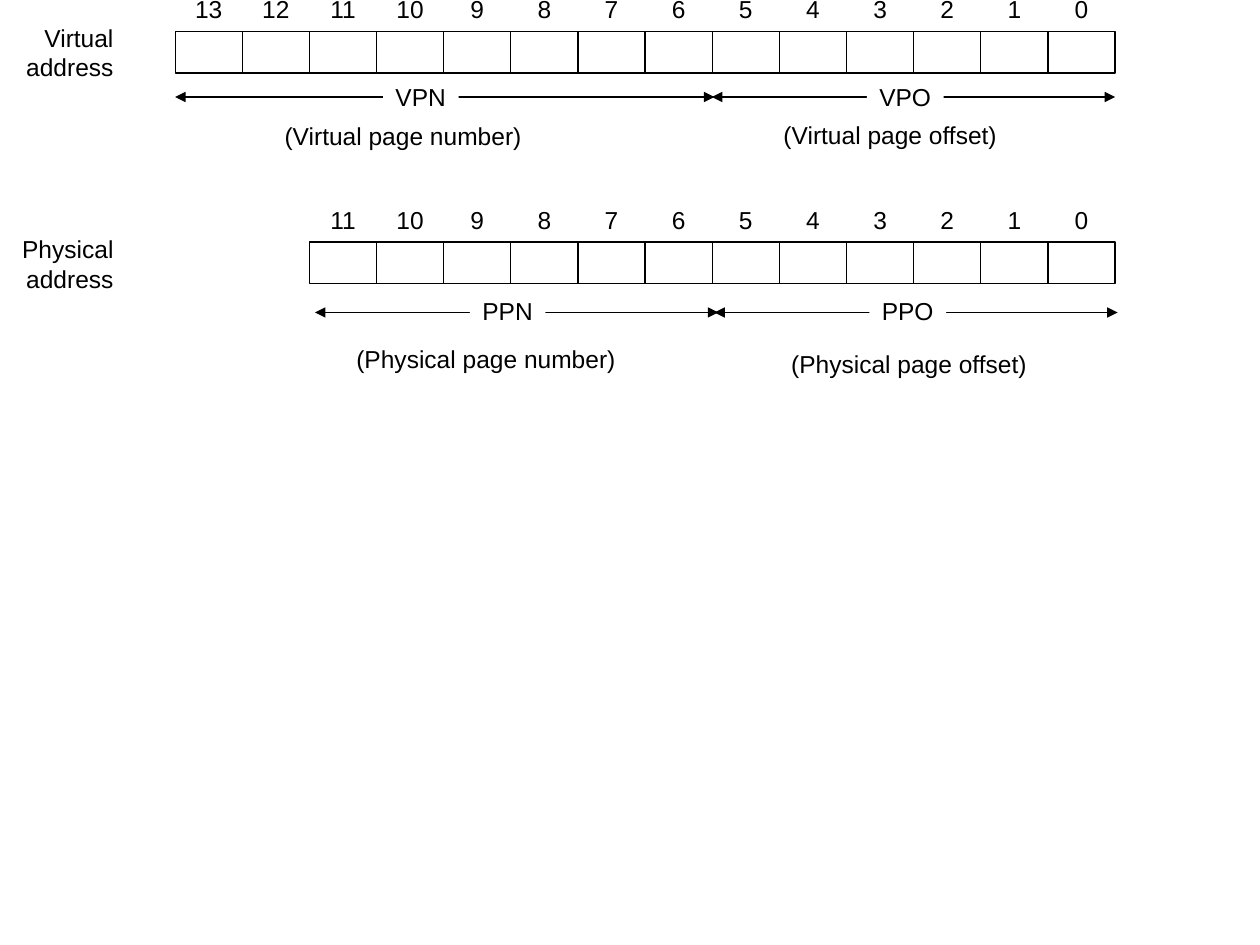
from dataclasses import dataclass

from lxml import etree
from pptx import Presentation
from pptx.dml.color import RGBColor
from pptx.enum.shapes import MSO_CONNECTOR, MSO_SHAPE
from pptx.enum.text import MSO_ANCHOR, MSO_AUTO_SIZE, PP_ALIGN
from pptx.oxml.ns import qn
from pptx.util import Inches, Pt

RECT, STRAIGHT = MSO_SHAPE.RECTANGLE, MSO_CONNECTOR.STRAIGHT
LEFT, CENTER, RIGHT = PP_ALIGN.LEFT, PP_ALIGN.CENTER, PP_ALIGN.RIGHT
TOP, MIDDLE = MSO_ANCHOR.TOP, MSO_ANCHOR.MIDDLE
FIT, NO_FIT = MSO_AUTO_SIZE.SHAPE_TO_FIT_TEXT, MSO_AUTO_SIZE.NONE


@dataclass(frozen=True)
class Theme:
    """Colours, type and line sizes of the slide."""
    ink: RGBColor = RGBColor(0, 0, 0)
    paper: RGBColor = RGBColor(255, 255, 255)
    font: str = "Arial"
    size: Pt = Pt(14)
    line: Pt = Pt(0.75)


THEME = Theme()
BITS_LEFT, BITS_RIGHT, CELL_H = 1.39, 8.85, 0.33
CELL_W = (BITS_RIGHT - BITS_LEFT) / 14
LABEL_H = 0.31
NAME_LEFT, NAME_W, NAME_H = 0.02, 0.98, 0.57

ADDRESSES = [
    {"bits": 14, "top": 0.25, "name": ("Virtual\naddress", 0.13),
     "arrow_y": 0.77, "label_y": 0.63,
     "fields": [("VPO", 5.65, 8.85, 6.88, 0.61), ("VPN", 1.39, 5.67, 3.04, 0.6)],
     "notes": [("(Virtual page number)", 2.16, 0.94, 2.08, LEFT),
               ("(Virtual page offset)", 6.12, 0.93, 1.9, LEFT)]},
    {"bits": 12, "top": 1.92, "name": ("Physical\naddress", 1.81),
     "arrow_y": 2.48, "label_y": 2.33,
     "fields": [("PPO", 5.67, 8.87, 6.9, 0.61), ("PPN", 2.5, 5.7, 3.73, 0.6)],
     "notes": [("(Physical page number)", 2.73, 2.71, 2.26, LEFT),
               ("(Physical page offset)", 6.18, 2.75, 2.07, CENTER)]},
]


def set_format(obj, values):
    """Set each named attribute of an object."""
    for name, value in values.items():
        setattr(obj, name, value)


def add_text(shapes, text, box, align=LEFT, anchor=TOP, fit=FIT, spacing=0.9):
    """Add a text box with one paragraph per line of text."""
    tb = shapes.add_textbox(*map(Inches, box))
    tf = tb.text_frame
    tf.text = text
    set_format(tf, {"word_wrap": False, "auto_size": fit, "vertical_anchor": anchor})
    for p in tf.paragraphs:
        set_format(p, {"alignment": align, "line_spacing": spacing})
        set_format(p.font, {"name": THEME.font, "size": THEME.size})
        p.font.color.rgb = THEME.ink
    return tb


def add_bit(s, number, top):
    """Add a grouped bit cell with its number above it."""
    left = BITS_RIGHT - (number + 1) * CELL_W
    shapes = s.shapes.add_group_shape().shapes
    sp = shapes.add_shape(RECT, *map(Inches, (left, top, CELL_W, CELL_H)))
    sp.shadow.inherit = False
    sp.fill.background()
    sp.line.color.rgb = THEME.ink
    sp.line.width = THEME.line
    add_text(shapes, str(number), (left, top - CELL_H, CELL_W, CELL_H),
             CENTER, MIDDLE, NO_FIT)


def add_span(s, x1, x2, y):
    """Add a horizontal double-headed arrow."""
    cx = s.shapes.add_connector(STRAIGHT, *map(Inches, (x1, y, x2, y)))
    cx.line.color.rgb = THEME.ink
    cx.line.width = THEME.line
    ln = cx.line._get_or_add_ln()
    for end in ("a:headEnd", "a:tailEnd"):
        etree.SubElement(ln, qn(end), type="triangle")
    etree.SubElement(cx._element.spPr, qn("a:effectLst"))


def add_field(s, text, x1, x2, y, box):
    """Add an arrow spanning a field with its label set over it."""
    add_span(s, x1, x2, y)
    tb = add_text(s.shapes, text, box)
    tb.fill.solid()
    tb.fill.fore_color.rgb = THEME.paper


def add_address(s, address):
    """Add one address layout with its bits, fields and captions."""
    for number in reversed(range(address["bits"])):
        add_bit(s, number, address["top"])
    for text, x1, x2, left, width in address["fields"]:
        add_field(s, text, x1, x2, address["arrow_y"],
                  (left, address["label_y"], width, LABEL_H))
    for text, left, top, width, align in address["notes"]:
        add_text(s.shapes, text, (left, top, width, LABEL_H), align)
    text, top = address["name"]
    add_text(s.shapes, text, (NAME_LEFT, top, NAME_W, NAME_H),
             RIGHT, MIDDLE, NO_FIT, 1.0)


def main():
    """Build and save the slide."""
    prs = Presentation()
    set_format(prs, {"slide_width": Inches(10), "slide_height": Inches(7.5)})
    s = prs.slides.add_slide(prs.slide_layouts[6])
    for address in ADDRESSES:
        add_address(s, address)
    prs.save("out.pptx")


if __name__ == "__main__":
    main()
